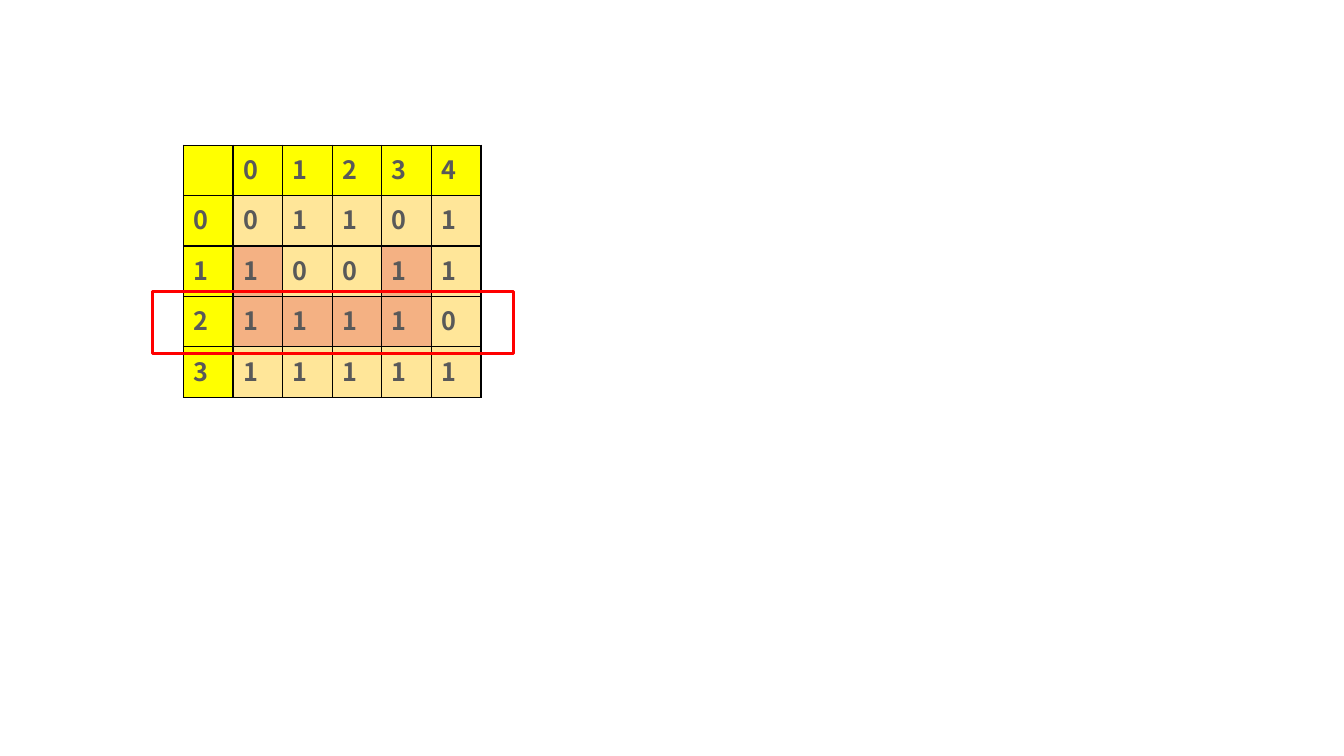
import dataclasses
import typing

import pptx
import pptx.dml.color
import pptx.enum.shapes
import pptx.oxml
import pptx.oxml.ns
import pptx.util

Inches = pptx.util.Inches
FONT_NAME = "Noto Sans CJK SC"
HEADER_FILL, CELL_FILL, MARKED_FILL = "FFFF00", "FFE699", "F4B183"


@dataclasses.dataclass(frozen=True)
class Grid:
    """Places on the slide in columns and rows of the matrix table."""
    left: float
    top: float
    column_width: float
    row_height: float

    def x(self, column: float) -> int:
        return Inches(self.left + column * self.column_width)

    def y(self, row: float) -> int:
        return Inches(self.top + row * self.row_height)

    def width(self, columns: float) -> int:
        return Inches(columns * self.column_width)

    def height(self, rows: float) -> int:
        return Inches(rows * self.row_height)


@dataclasses.dataclass(frozen=True)
class Frame:
    """An outlined rectangle, measured in grid columns and rows."""
    column: float
    row: float
    columns: float
    rows: float
    color: str
    line_width: float


GRID = Grid(left=1.82, top=1.44, column_width=0.492, row_height=0.5)
MATRIX = ["01101", "10011", "11110", "11111"]
MARKED_CELLS = {(1, 0), (1, 3), (2, 0), (2, 1), (2, 2), (2, 3)}
CURRENT_ROW = Frame(column=-0.63, row=2.9, columns=7.28, rows=1.24,
                    color="FF0000", line_width=2.25)


def rgb(color: str) -> pptx.dml.color.RGBColor:
    return pptx.dml.color.RGBColor.from_string(color)


def apply_format(target: typing.Any, values: dict[str, typing.Any]) -> None:
    for name, value in values.items():
        setattr(target, name, value)


def set_borders(cell: typing.Any, color: str, points: float) -> None:
    properties = cell._tc.get_or_add_tcPr()
    for index, side in enumerate(("lnL", "lnR", "lnT", "lnB")):
        border = pptx.oxml.parse_xml(
            f'<a:{side} {pptx.oxml.ns.nsdecls("a")} w="{pptx.util.Pt(points)}">'
            f'<a:solidFill><a:srgbClr val="{color}"/></a:solidFill></a:{side}>')
        properties.insert(index, border)


def write_cell(cell: typing.Any, text: str, fill: str) -> None:
    cell.fill.solid()
    cell.fill.fore_color.rgb = rgb(fill)
    set_borders(cell, "000000", 1)
    if not text:
        return
    run = cell.text_frame.paragraphs[0].add_run()
    run.text = text
    apply_format(run.font, {"name": FONT_NAME, "size": pptx.util.Pt(18), "bold": True})
    run.font.color.rgb = rgb("595959")
    east_asian = pptx.oxml.parse_xml(
        f'<a:ea {pptx.oxml.ns.nsdecls("a")} typeface="{FONT_NAME}"/>')
    run.font._element.find(pptx.oxml.ns.qn("a:latin")).addnext(east_asian)


def cell_fill(row: int, column: int) -> str:
    if row == 0 or column == 0:
        return HEADER_FILL
    return MARKED_FILL if (row - 1, column - 1) in MARKED_CELLS else CELL_FILL


def draw_matrix(slide: typing.Any) -> None:
    column_labels = [str(index) for index in range(len(MATRIX[0]))]
    rows = [["", *column_labels]]
    rows += [[str(index), *digits] for index, digits in enumerate(MATRIX)]
    row_count, column_count = len(rows), len(rows[0])
    table = slide.shapes.add_table(
        row_count, column_count, GRID.x(0), GRID.y(0),
        GRID.width(column_count), GRID.height(row_count)).table
    apply_format(table, {"first_row": False, "horz_banding": False})
    for row, texts in enumerate(rows):
        for column, text in enumerate(texts):
            write_cell(table.cell(row, column), text, cell_fill(row, column))


def draw_frame(slide: typing.Any, frame: Frame) -> None:
    shape = slide.shapes.add_shape(
        pptx.enum.shapes.MSO_SHAPE.RECTANGLE, GRID.x(frame.column), GRID.y(frame.row),
        GRID.width(frame.columns), GRID.height(frame.rows))
    shape.shadow.inherit = False
    shape.fill.background()
    shape.line.color.rgb = rgb(frame.color)
    shape.line.width = pptx.util.Pt(frame.line_width)


# Slide
presentation = pptx.Presentation()
apply_format(presentation, {"slide_width": Inches(13.33), "slide_height": Inches(7.5)})
slide = presentation.slides.add_slide(presentation.slide_layouts[6])

# Matrix with row and column indices
draw_matrix(slide)

# Frame around the current row
draw_frame(slide, CURRENT_ROW)

presentation.save("out.pptx")
